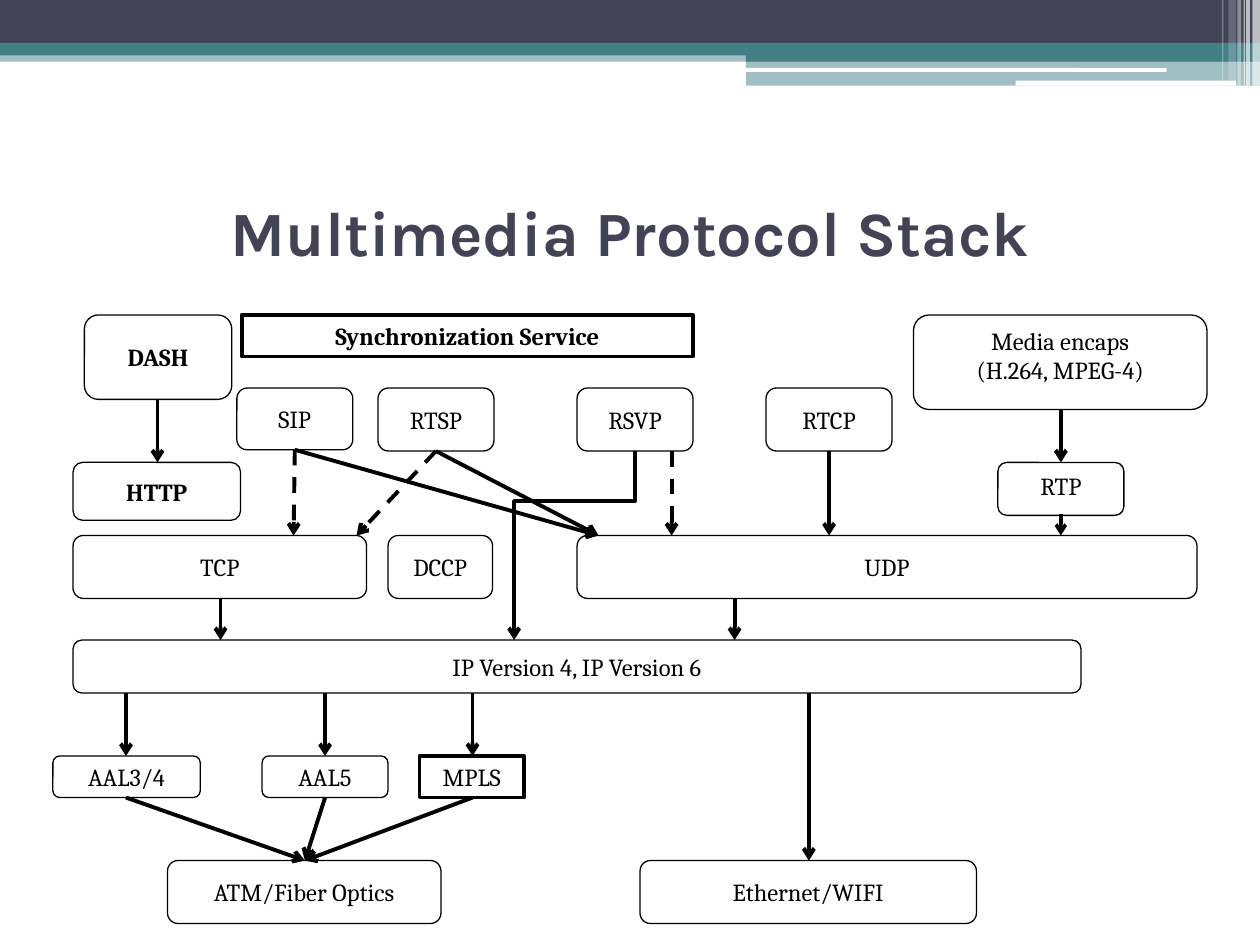
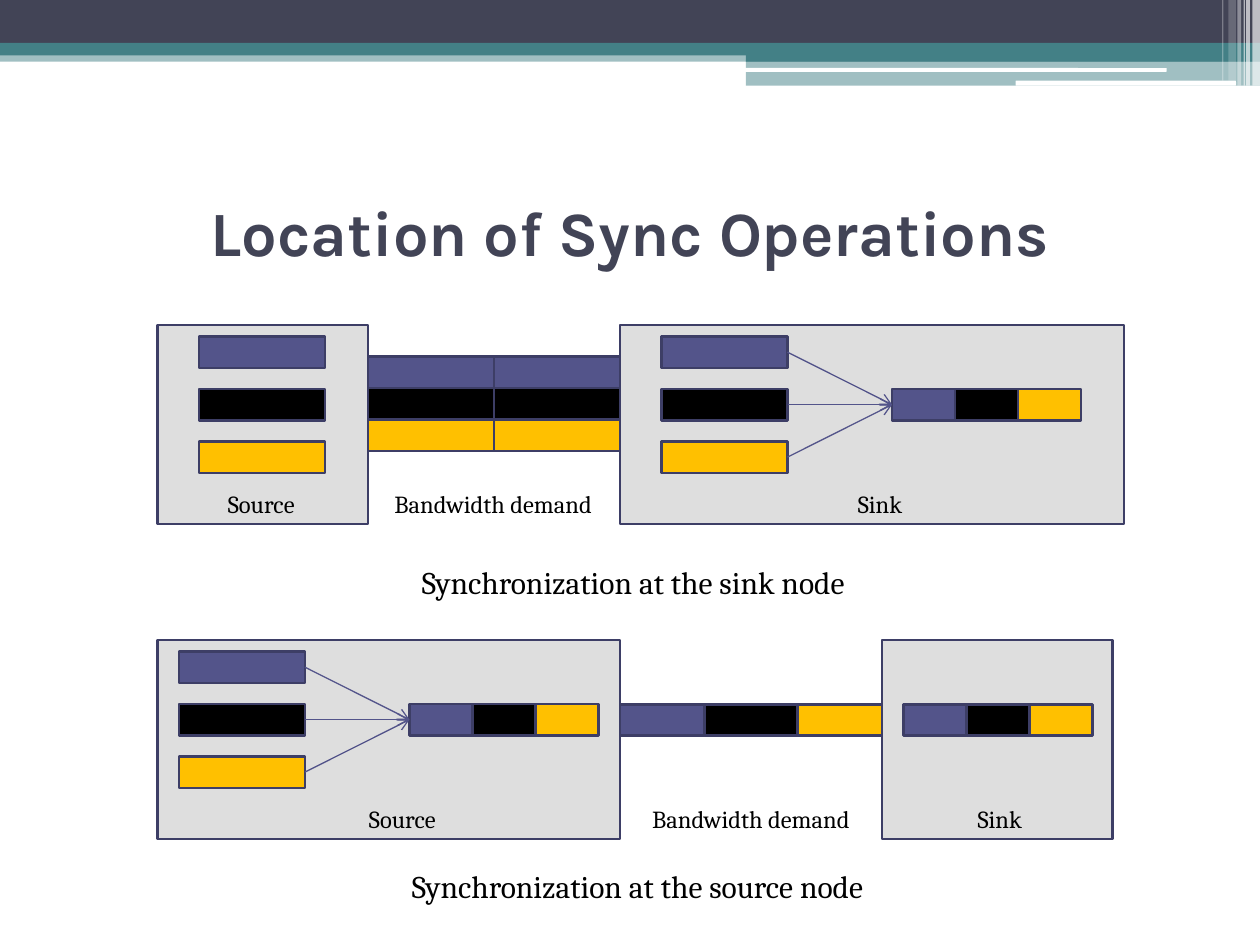
from dataclasses import dataclass
from itertools import accumulate
from typing import Optional

from pptx import Presentation
from pptx.dml.color import RGBColor
from pptx.enum.dml import MSO_LINE as Dash
from pptx.enum.shapes import MSO_CONNECTOR as Link, MSO_SHAPE as Preset
from pptx.enum.text import MSO_ANCHOR as Anchor, PP_ALIGN as Align
from pptx.oxml.ns import qn
from pptx.util import Inches, Pt
from lxml.etree import SubElement

# Shared colours and fonts
BLACK = RGBColor(0x00, 0x00, 0x00)
WHITE = RGBColor(0xFF, 0xFF, 0xFF)
SLATE = RGBColor(0x42, 0x44, 0x56)
TEAL = RGBColor(0x43, 0x80, 0x86)
INDIGO = RGBColor(0x53, 0x54, 0x8A)
INDIGO_EDGE = RGBColor(0x3D, 0x3E, 0x66)
AMBER = RGBColor(0xFF, 0xC0, 0x00)
PANEL_GREY = RGBColor(0xDE, 0xDE, 0xDE)
STREAM_COLOURS = (INDIGO, BLACK, AMBER)
TITLE_FONT, BODY_FONT = "Karla", "Cambria"


@dataclass(frozen=True)
class Band:
    """One strip of the header decoration."""
    left: float
    top: float
    width: float
    height: float
    colour: RGBColor
    opacity: int = 100
    preset: Preset = Preset.RECTANGLE


@dataclass(frozen=True)
class Protocol:
    """One labelled box of the protocol stack."""
    label: str
    left: float
    top: float
    width: float
    height: float
    bold: bool = False
    framed: bool = False
    anchor: Anchor = Anchor.MIDDLE


@dataclass(frozen=True)
class Flow:
    """One arrow between two layers of the stack."""
    x1: float
    y1: float
    x2: float
    y2: float
    dashed: bool = False
    weight: float = 2.25


HEADER = (
    Band(0, 0.4, 10, 0.09, TEAL, 50),
    Band(0, 0, 10, 0.34, SLATE),
    Band(0, 0.34, 10, 0.1, TEAL),
    Band(5.92, 0.39, 4.08, 0.1, TEAL),
    Band(5.92, 0.48, 4.08, 0.2, TEAL, 50),
    Band(5.91, 0.54, 3.35, 0.03, WHITE, preset=Preset.ROUNDED_RECTANGLE),
    Band(8.06, 0.64, 1.75, 0.04, WHITE, preset=Preset.ROUNDED_RECTANGLE),
    Band(9.94, 0, 0.06, 0.68, WHITE, 65),
    Band(9.89, 0, 0.03, 0.68, WHITE, 65),
    Band(9.87, 0, 0.01, 0.68, WHITE, 60),
    Band(9.82, 0, 0.03, 0.68, WHITE, 40),
    Band(9.75, 0, 0.06, 0.64, WHITE, 20),
    Band(9.7, 0, 0.01, 0.64, WHITE, 30),
)


# Drawing helpers
def write_text(frame, text: str, *, size: float = 14, font: str = BODY_FONT,
               colour: RGBColor = BLACK, bold: bool = False,
               align: Align = Align.CENTER, anchor: Anchor = Anchor.TOP) -> None:
    frame.word_wrap = True
    frame.vertical_anchor = anchor
    for index, line in enumerate(text.split("\n")):
        paragraph = frame.paragraphs[0] if index == 0 else frame.add_paragraph()
        paragraph.alignment = align
        run = paragraph.add_run()
        run.text = line
        run.font.size, run.font.name, run.font.bold = Pt(size), font, bold
        run.font.color.rgb = colour


def add_label(slide, text: str, left: float, top: float, width: float,
              height: float, **text_format) -> None:
    label = slide.shapes.add_textbox(Inches(left), Inches(top), Inches(width), Inches(height))
    write_text(label.text_frame, text, **text_format)


def add_box(slide, left: float, top: float, width: float, height: float, *,
            preset: Preset = Preset.RECTANGLE, fill: Optional[RGBColor] = None,
            edge: Optional[RGBColor] = None, weight: float = 1.5, opacity: int = 100):
    box = slide.shapes.add_shape(preset, Inches(left), Inches(top), Inches(width), Inches(height))
    box.shadow.inherit = False
    if fill is None:
        box.fill.background()
    else:
        box.fill.solid()
        box.fill.fore_color.rgb = fill
        if opacity < 100:
            tint = box.element.spPr.find(".//" + qn("a:srgbClr"))
            SubElement(tint, qn("a:alpha"), val=str(opacity * 1000))
    if edge is None:
        box.line.fill.background()
    else:
        box.line.color.rgb = edge
        box.line.width = Pt(weight)
    return box


def add_arrow(slide, x1: float, y1: float, x2: float, y2: float, *,
              colour: RGBColor = BLACK, weight: float = 2.25, dashed: bool = False,
              link: Link = Link.STRAIGHT):
    arrow = slide.shapes.add_connector(link, Inches(x1), Inches(y1), Inches(x2), Inches(y2))
    arrow.line.color.rgb = colour
    arrow.line.width = Pt(weight)
    if dashed:
        arrow.line.dash_style = Dash.DASH
    properties = arrow.element.spPr
    SubElement(properties.find(qn("a:ln")), qn("a:tailEnd"), type="arrow")
    SubElement(properties, qn("a:effectLst"))
    return arrow


def add_down_elbow(slide, x1: float, y1: float, x2: float, y2: float, bend: float) -> None:
    """Elbow that leaves downwards, runs left at the bend and ends downwards."""
    drop, shift = y2 - y1, x1 - x2
    mid_x, mid_y = (x1 + x2) / 2, (y1 + y2) / 2
    elbow = add_arrow(slide, mid_x - drop / 2, mid_y - shift / 2,
                      mid_x + drop / 2, mid_y + shift / 2, link=Link.ELBOW)
    properties = elbow.element.spPr
    properties.find(qn("a:xfrm")).set("rot", str(90 * 60000))
    adjustments = properties.find(qn("a:prstGeom")).find(qn("a:avLst"))
    SubElement(adjustments, qn("a:gd"), name="adj1", fmla=f"val {round(bend * 100000)}")


def start_slide(deck, title: str):
    slide = deck.slides.add_slide(deck.slide_layouts[6])
    for band in HEADER:
        add_box(slide, band.left, band.top, band.width, band.height,
                preset=band.preset, fill=band.colour, opacity=band.opacity)
    add_label(slide, title, 0.5, 1.25, 9, 1.17, size=36, font=TITLE_FONT,
              colour=SLATE, bold=True, anchor=Anchor.MIDDLE)
    return slide


# Slide 1: protocol stack
PROTOCOLS = (
    Protocol("DASH", 0.67, 2.5, 1.17, 0.67, bold=True),
    Protocol("Synchronization Service", 1.92, 2.5, 3.58, 0.33, bold=True, framed=True),
    Protocol("Media encaps\n(H.264, MPEG-4)", 7.25, 2.5, 2.33, 0.75, anchor=Anchor.TOP),
    Protocol("SIP", 1.88, 3.08, 0.92, 0.49),
    Protocol("RTSP", 3, 3.08, 0.92, 0.5),
    Protocol("RSVP", 4.58, 3.08, 0.92, 0.5),
    Protocol("RTCP", 6.08, 3.08, 1, 0.5),
    Protocol("HTTP", 0.58, 3.67, 1.33, 0.46, bold=True),
    Protocol("RTP", 7.92, 3.67, 1, 0.42, anchor=Anchor.TOP),
    Protocol("TCP", 0.58, 4.25, 2.33, 0.5),
    Protocol("DCCP", 3.08, 4.25, 0.83, 0.5),
    Protocol("UDP", 4.58, 4.25, 4.92, 0.5),
    Protocol("IP Version 4, IP Version 6", 0.58, 5.08, 8, 0.42),
    Protocol("AAL3/4", 0.42, 6, 1.17, 0.33),
    Protocol("AAL5", 2.08, 6, 1, 0.33),
    Protocol("MPLS", 3.33, 6, 0.83, 0.33, framed=True),
    Protocol("ATM/Fiber Optics", 1.33, 6.83, 2.17, 0.5),
    Protocol("Ethernet/WIFI", 5.08, 6.83, 2.67, 0.5),
)
ADAPTATION_XS = (1, 2.58, 3.75)  # AAL3/4, AAL5, MPLS
FLOWS = (
    Flow(1.25, 3.17, 1.25, 3.67),
    Flow(2.34, 3.57, 2.33, 4.25, dashed=True),
    Flow(2.34, 3.57, 4.75, 4.25),
    Flow(3.46, 3.58, 2.83, 4.25, dashed=True),
    Flow(3.46, 3.58, 4.75, 4.25),
    Flow(5.33, 3.58, 5.33, 4.25, dashed=True),
    Flow(6.58, 3.58, 6.58, 4.25),
    Flow(8.42, 3.25, 8.42, 3.67),
    Flow(8.42, 4.08, 8.42, 4.25, weight=2),
    Flow(1.75, 4.75, 1.75, 5.08),
    Flow(5.83, 4.75, 5.83, 5.08),
    *(Flow(x, 5.5, x, 6) for x in ADAPTATION_XS),
    *(Flow(x, 6.33, 2.42, 6.83) for x in ADAPTATION_XS),
    Flow(6.42, 5.5, 6.42, 6.83),
)


def build_protocol_stack(deck) -> None:
    slide = start_slide(deck, "Multimedia Protocol Stack")
    for protocol in PROTOCOLS:
        box = add_box(slide, protocol.left, protocol.top, protocol.width, protocol.height,
                      preset=Preset.RECTANGLE if protocol.framed else Preset.ROUNDED_RECTANGLE,
                      edge=BLACK, weight=2.25 if protocol.framed else 0.75)
        write_text(box.text_frame, protocol.label, bold=protocol.bold, anchor=protocol.anchor)
    for flow in FLOWS:
        add_arrow(slide, flow.x1, flow.y1, flow.x2, flow.y2,
                  dashed=flow.dashed, weight=flow.weight)
    add_down_elbow(slide, 5.04, 3.58, 4.08, 5.08, bend=0.265)  # RSVP straight to IP


# Slide 2: where synchronization happens
UNIT_HEIGHT = 0.25
STREAM_PITCH = 1.25 / 3
MERGED_WIDTHS = (0.5, 0.5, 0.5)


def add_node(slide, left: float, top: float, width: float) -> None:
    add_box(slide, left, top, width, 1.58, fill=PANEL_GREY, edge=INDIGO_EDGE)


def add_streams(slide, left: float, top: float, pitch: float = STREAM_PITCH) -> None:
    for row, colour in enumerate(STREAM_COLOURS):
        add_box(slide, left, top + row * pitch, 1, UNIT_HEIGHT, fill=colour, edge=INDIGO_EDGE)


def add_merged(slide, left: float, top: float, widths=MERGED_WIDTHS) -> None:
    offsets = accumulate(widths, initial=0)
    for offset, width, colour in zip(offsets, widths, STREAM_COLOURS):
        add_box(slide, left + offset, top, width, UNIT_HEIGHT, fill=colour, edge=INDIGO_EDGE)


def add_sync(slide, left: float, top: float) -> None:
    """Three streams that arrows join into one merged stream."""
    merged_left = left + 1.83
    add_streams(slide, left, top)
    add_merged(slide, merged_left, top + STREAM_PITCH)
    target = top + STREAM_PITCH + UNIT_HEIGHT / 2
    for row in (-1, 0, 1):
        add_arrow(slide, left + 1, target + row * STREAM_PITCH, merged_left, target,
                  colour=INDIGO, weight=0.75)


def build_sync_locations(deck) -> None:
    slide = start_slide(deck, "Location of Sync Operations")

    # Synchronization at the sink
    add_node(slide, 1.25, 2.58, 1.67)
    add_streams(slide, 1.58, 2.67)
    for left in (2.92, 3.92):
        add_streams(slide, left, 2.83, pitch=UNIT_HEIGHT)
    add_node(slide, 4.92, 2.58, 4)
    add_sync(slide, 5.25, 2.67)

    # Synchronization at the source
    add_node(slide, 1.25, 5.08, 3.67)
    add_sync(slide, 1.42, 5.17)
    add_node(slide, 7, 5.08, 1.83)
    add_merged(slide, 4.92, 5.59, widths=(0.67, 0.74, 0.67))
    add_merged(slide, 7.17, 5.59)

    # Node labels, channel labels and captions
    for top, source_left, sink_left, channel_width in ((3.83, 1.71, 6.71, 1.99),
                                                       (6.33, 2.83, 7.66, 2.08)):
        add_label(slide, "Source", source_left, top, 0.79, 0.34, align=Align.LEFT)
        add_label(slide, "Sink", sink_left, top, 0.59, 0.34, align=Align.LEFT)
        add_label(slide, "Bandwidth demand", 2.92 if top < 5 else 4.92, top, channel_width, 0.34)
    for node, left, top, width in (("sink", 3.25, 4.42, 3.87), ("source", 3.17, 6.83, 4.13)):
        add_label(slide, f"Synchronization at the {node} node", left, top, width, 0.4,
                  size=18, align=Align.LEFT)


deck = Presentation()
deck.slide_width, deck.slide_height = Inches(10), Inches(7.5)
build_protocol_stack(deck)
build_sync_locations(deck)
deck.save("out.pptx")
